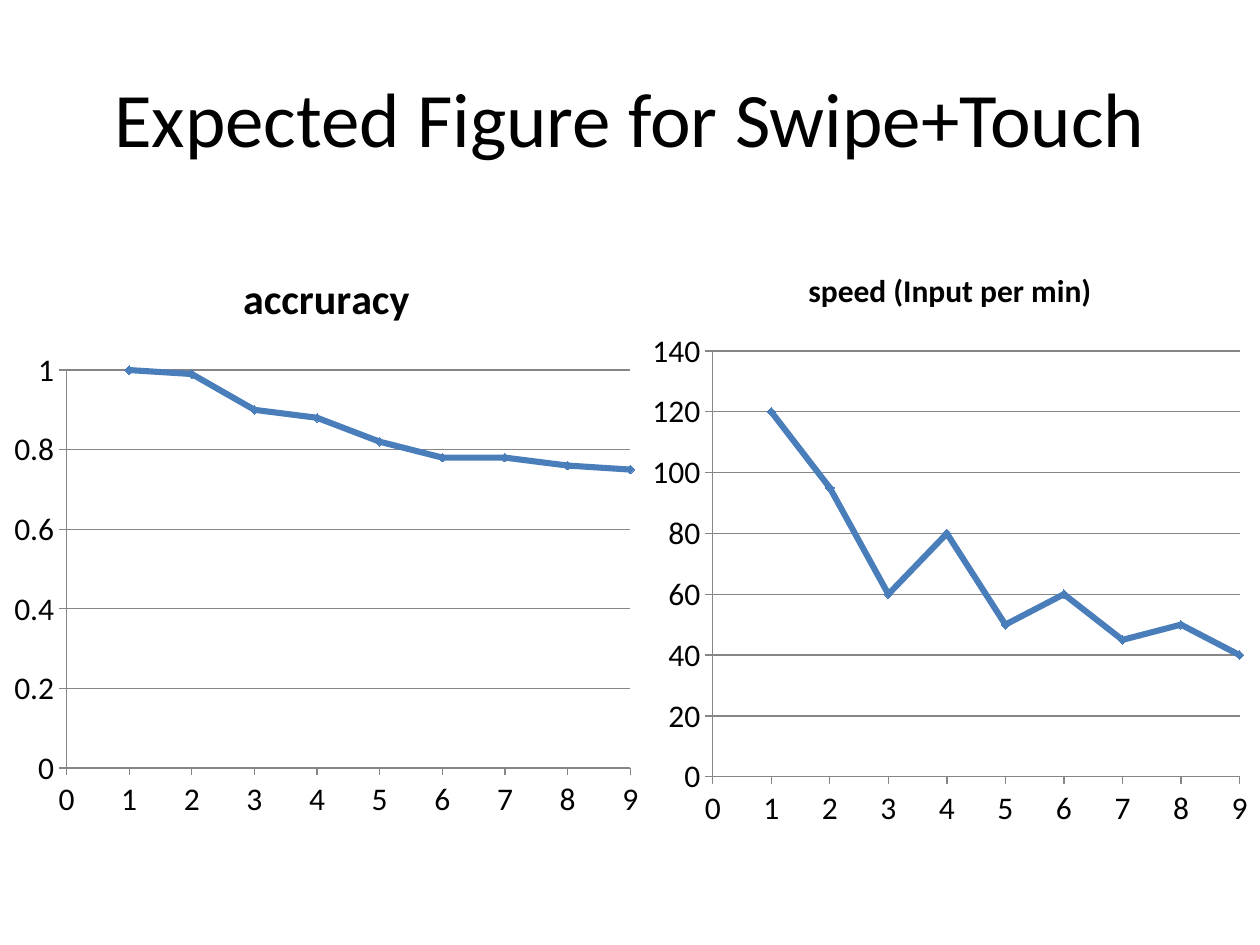
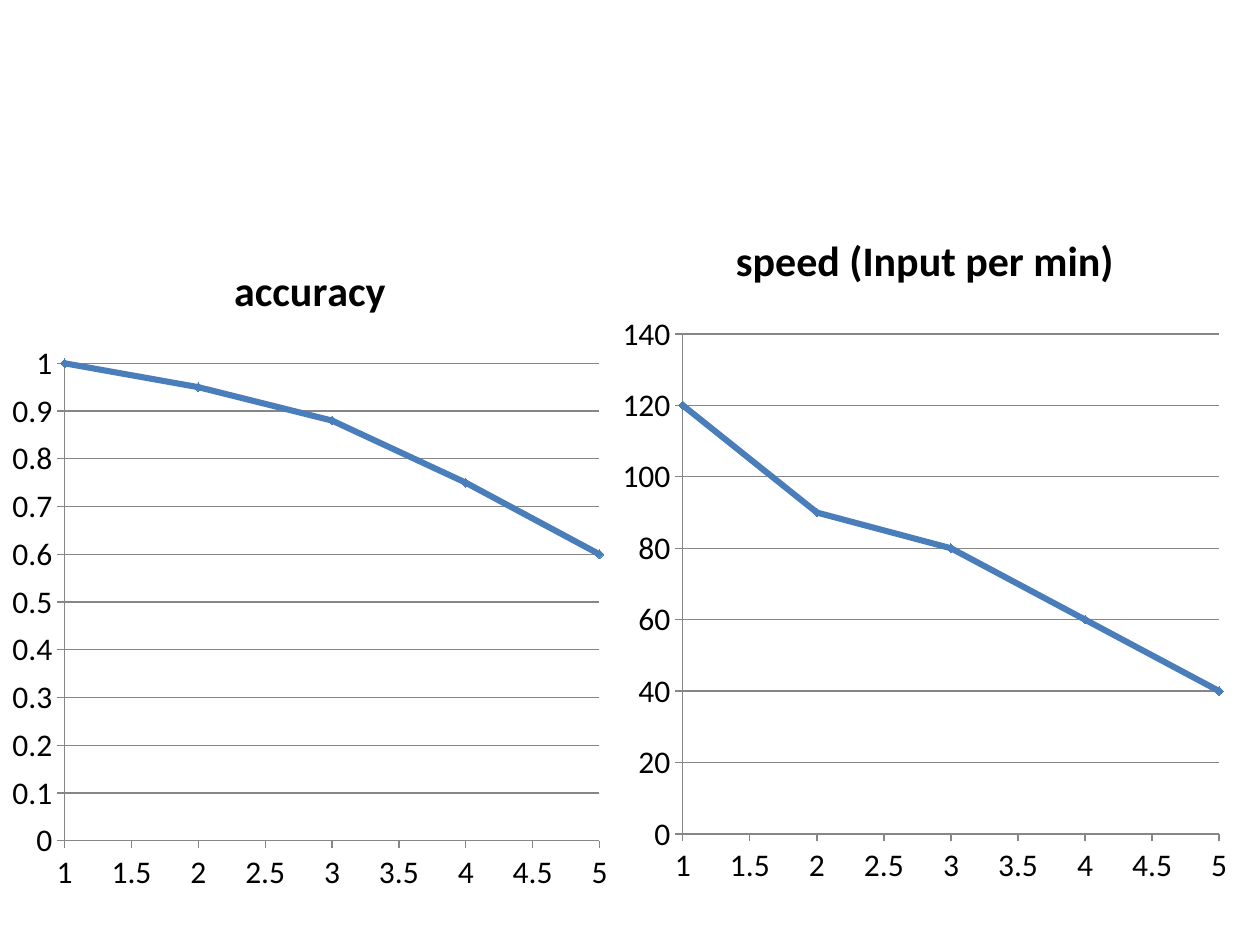
from pptx import Presentation
from pptx.chart.data import XyChartData
from pptx.dml.color import RGBColor
from pptx.enum.chart import XL_CHART_TYPE as Kind, XL_MARKER_STYLE as Mark, XL_TICK_MARK as Tick
from pptx.enum.text import MSO_ANCHOR as Anchor, PP_ALIGN as Align
from pptx.util import Inches, Pt

BLACK = RGBColor(0x00, 0x00, 0x00)
BLUE = RGBColor(0x4A, 0x7E, 0xBB)
FILL = RGBColor(0x4F, 0x81, 0xBD)
GRAY = RGBColor(0x86, 0x86, 0x86)
FACE = "Calibri"
SPEED = "speed (Input per min)"


def apply(item, form):
    for name, value in form.items():
        setattr(item, name, value)


def style(font, size, bold=False):
    apply(font, {"name": FACE, "size": Pt(size), "bold": bold})
    font.color.rgb = BLACK


def draw(line, color, width):
    line.color.rgb = color
    line.width = Pt(width)


def add_title(slide, text):
    title = slide.shapes.title
    apply(title, {"left": Inches(0.5), "top": Inches(0.3),
                  "width": Inches(9), "height": Inches(1.25)})
    frame = title.text_frame
    apply(frame, {"text": text, "word_wrap": True, "vertical_anchor": Anchor.MIDDLE})
    para = frame.paragraphs[0]
    para.alignment = Align.CENTER
    style(para.runs[0].font, 44)


def set_axis(axis, low, high, step, grid):
    apply(axis, {"minimum_scale": low, "maximum_scale": high, "major_unit": step,
                 "has_major_gridlines": grid, "has_title": False,
                 "major_tick_mark": Tick.OUTSIDE, "minor_tick_mark": Tick.NONE})
    style(axis.tick_labels.font, 18)
    draw(axis.format.line, GRAY, 0.75)
    if grid:
        draw(axis.major_gridlines.format.line, GRAY, 0.75)


def add_graph(slide, box, name, vals, across, up, size=24):
    data = XyChartData()
    points = data.add_series(name)
    for x, y in enumerate(vals, 1):
        points.add_data_point(x, y)
    area = map(Inches, box)
    chart = slide.shapes.add_chart(Kind.XY_SCATTER_LINES, *area, data).chart
    style(chart.font, 10)
    apply(chart, {"has_legend": False, "has_title": True})
    head = chart.chart_title
    head.include_in_layout = False
    head.text_frame.text = name
    style(head.text_frame.paragraphs[0].runs[0].font, size, True)
    set_axis(chart.category_axis, *across, False)
    set_axis(chart.value_axis, *up, True)
    plot = chart.plots[0]
    plot.vary_by_categories = False
    curve = plot.series[0]
    curve.smooth = False
    draw(curve.format.line, BLUE, 3.5)
    mark = curve.marker
    apply(mark, {"style": Mark.DIAMOND, "size": 5})
    mark.format.fill.solid()
    mark.format.fill.fore_color.rgb = FILL
    draw(mark.format.line, BLUE, 0.75)


def main():
    deck = Presentation()
    apply(deck, {"slide_width": Inches(10), "slide_height": Inches(7.5)})

    first = deck.slides.add_slide(deck.slide_layouts[5])
    add_title(first, "Expected Figure for Swipe+Touch")
    add_graph(first, (0.01, 1.94, 5.16, 4.65), "accruracy",
              (1, 0.99, 0.9, 0.88, 0.82, 0.78, 0.78, 0.76, 0.75),
              (0, 9, 1), (0, 1, 0.2))
    add_graph(first, (5.08, 1.94, 4.92, 4.72), SPEED,
              (120, 95, 60, 80, 50, 60, 45, 50, 40),
              (0, 9, 1), (0, 140, 20), 18)

    second = deck.slides.add_slide(deck.slide_layouts[6])
    add_graph(second, (0, 1.86, 4.92, 5.32), "accuracy",
              (1, 0.95, 0.88, 0.75, 0.6), (1, 5, 0.5), (0, 1, 0.1))
    add_graph(second, (4.84, 1.62, 5, 5.51), SPEED,
              (120, 90, 80, 60, 40), (1, 5, 0.5), (0, 140, 20))

    deck.save("out.pptx")


if __name__ == "__main__":
    main()
